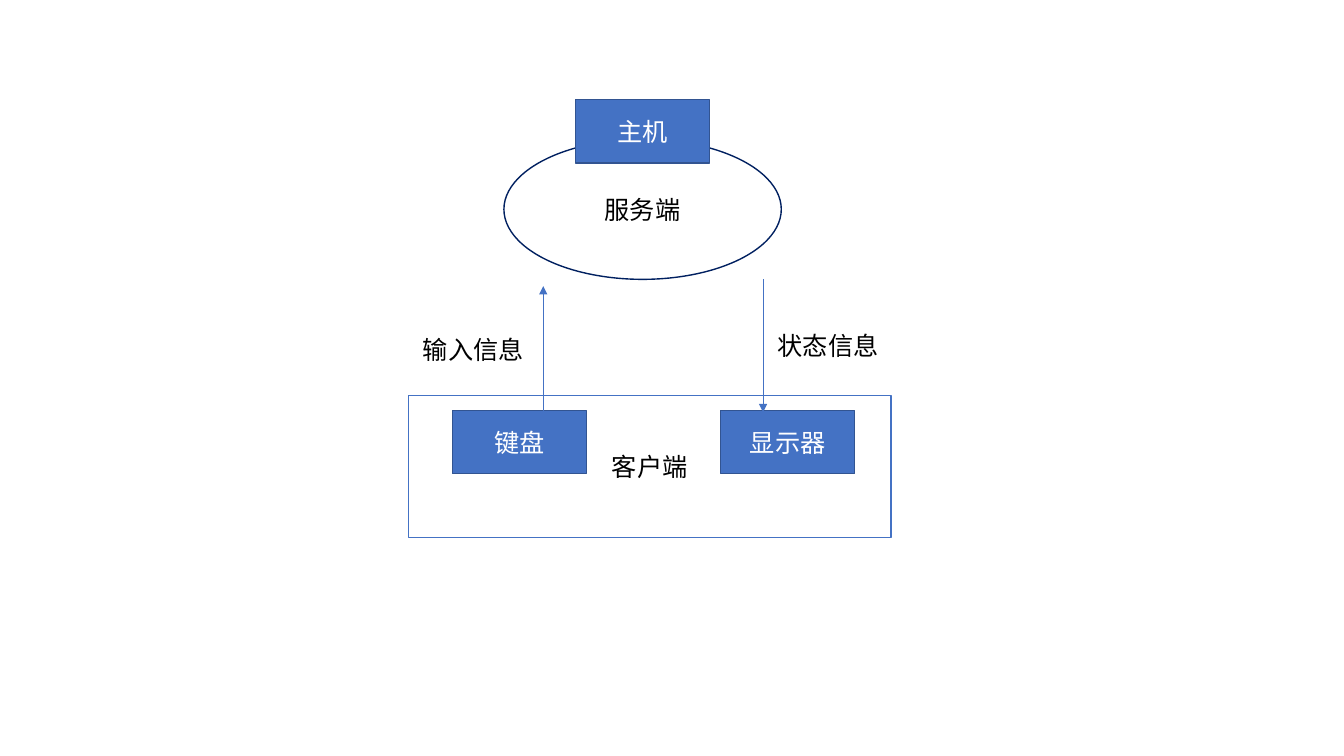
from lxml.etree import SubElement as Sub
from pptx import Presentation
from pptx.dml.color import RGBColor
from pptx.enum.shapes import MSO_CONNECTOR as Conn, MSO_SHAPE as Kind
from pptx.enum.text import MSO_ANCHOR as Anchor, MSO_AUTO_SIZE as Fit, PP_ALIGN as Align
from pptx.oxml.ns import qn
from pptx.util import Cm, Pt

FONT = "Noto Sans CJK SC"
BLUE, EDGE, NAVY = "4472C4", "325491", "002060"
WHITE, BLACK = "FFFFFF", "000000"


def color(code):
    return RGBColor.from_string(code)


def write(frame, text, size=18, ink=BLACK, align=Align.LEFT, anchor=Anchor.TOP):
    frame.vertical_anchor = anchor
    para = frame.paragraphs[0]
    para.alignment = align
    run = para.add_run()
    run.text = text
    run.font.size = Pt(size)
    run.font.name = FONT
    run.font.color.rgb = color(ink)
    # East Asian text takes its own typeface
    Sub(run._r.get_or_add_rPr(), qn("a:ea"), typeface=FONT)


class Chart:
    box_w, box_h = 3.38, 1.6
    label_w, label_h = 3.07, 1.02

    def __init__(self, slide):
        self.shapes = slide.shapes

    def shape(self, kind, text, x, y, w, h, fill=WHITE, line=BLUE, ink=BLACK):
        item = self.shapes.add_shape(kind, Cm(x), Cm(y), Cm(w), Cm(h))
        item.shadow.inherit = False
        item.fill.solid()
        item.fill.fore_color.rgb = color(fill)
        item.line.color.rgb = color(line)
        item.line.width = Pt(1)
        write(item.text_frame, text, ink=ink, align=Align.CENTER, anchor=Anchor.MIDDLE)

    def device(self, text, x, y):
        self.shape(Kind.RECTANGLE, text, x, y, self.box_w, self.box_h,
                   fill=BLUE, line=EDGE, ink=WHITE)

    def arrow(self, x, start, end):
        item = self.shapes.add_connector(Conn.STRAIGHT, Cm(x), Cm(start), Cm(x), Cm(end))
        item.line.color.rgb = color(BLUE)
        item.line.width = Pt(0.5)
        Sub(item.line._get_or_add_ln(), qn("a:tailEnd"), type="triangle")
        Sub(item._element.spPr, qn("a:effectLst"))

    def label(self, text, x, y):
        item = self.shapes.add_textbox(Cm(x), Cm(y), Cm(self.label_w), Cm(self.label_h))
        item.text_frame.word_wrap = False
        item.text_frame.auto_size = Fit.SHAPE_TO_FIT_TEXT
        write(item.text_frame, text)


def main():
    deck = Presentation()
    deck.slide_width, deck.slide_height = Cm(33.87), Cm(19.05)
    chart = Chart(deck.slides.add_slide(deck.slide_layouts[6]))

    # Server and client areas
    chart.shape(Kind.OVAL, "服务端", 12.7, 3.51, 6.99, 3.53, line=NAVY)
    chart.shape(Kind.RECTANGLE, "客户端", 10.29, 9.96, 12.17, 3.58)

    # Client devices
    for text, x in (("键盘", 11.4), ("显示器", 18.16)):
        chart.device(text, x, 10.34)

    # Messages up and down
    chart.arrow(13.69, 10.39, 7.21)
    chart.arrow(19.23, 7.04, 10.39)
    chart.label("输入信息", 10.41, 8.31)
    chart.label("状态信息", 19.35, 8.2)

    # Host on top of the server
    chart.device("主机", 14.5, 2.51)

    deck.save("out.pptx")


if __name__ == "__main__":
    main()
